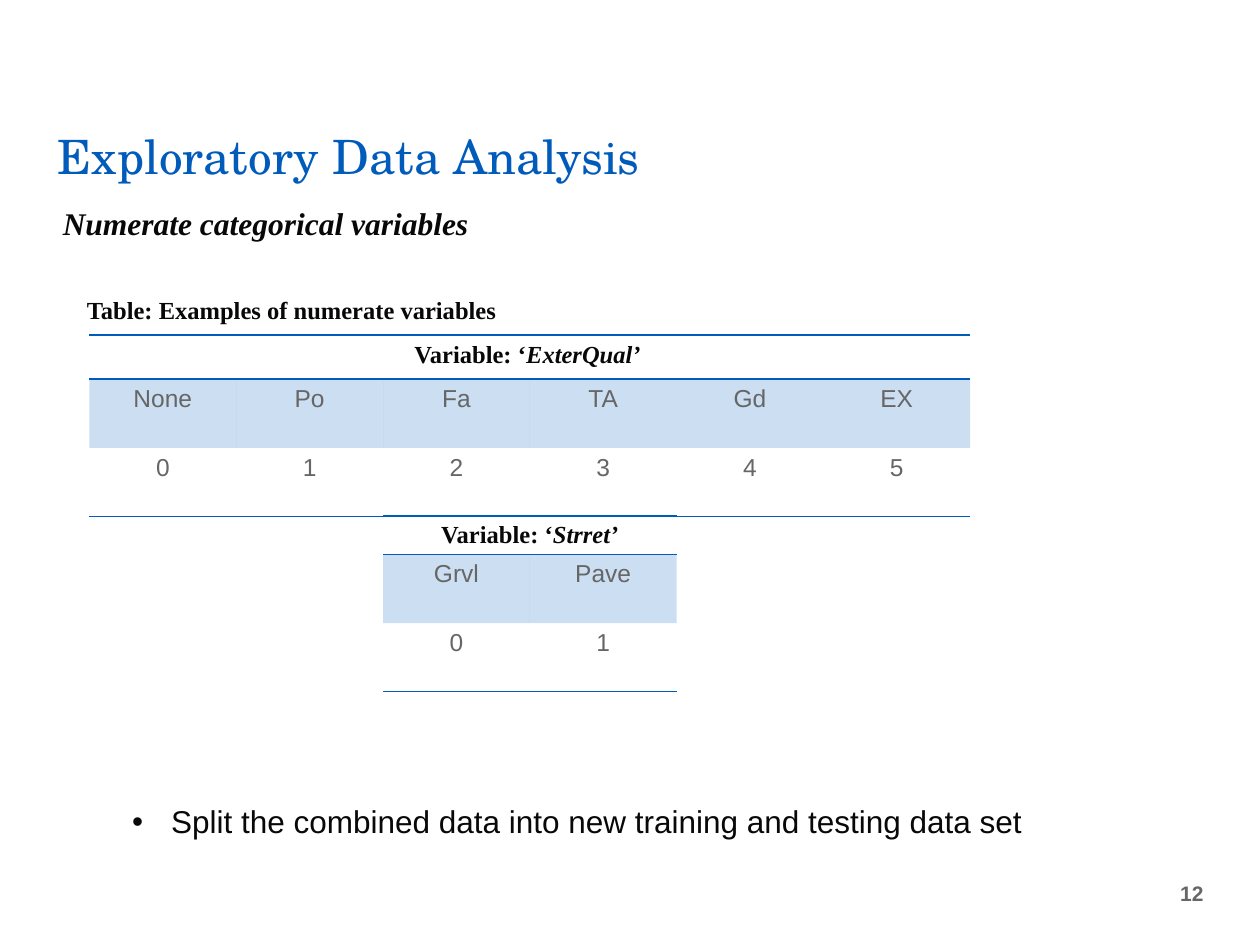
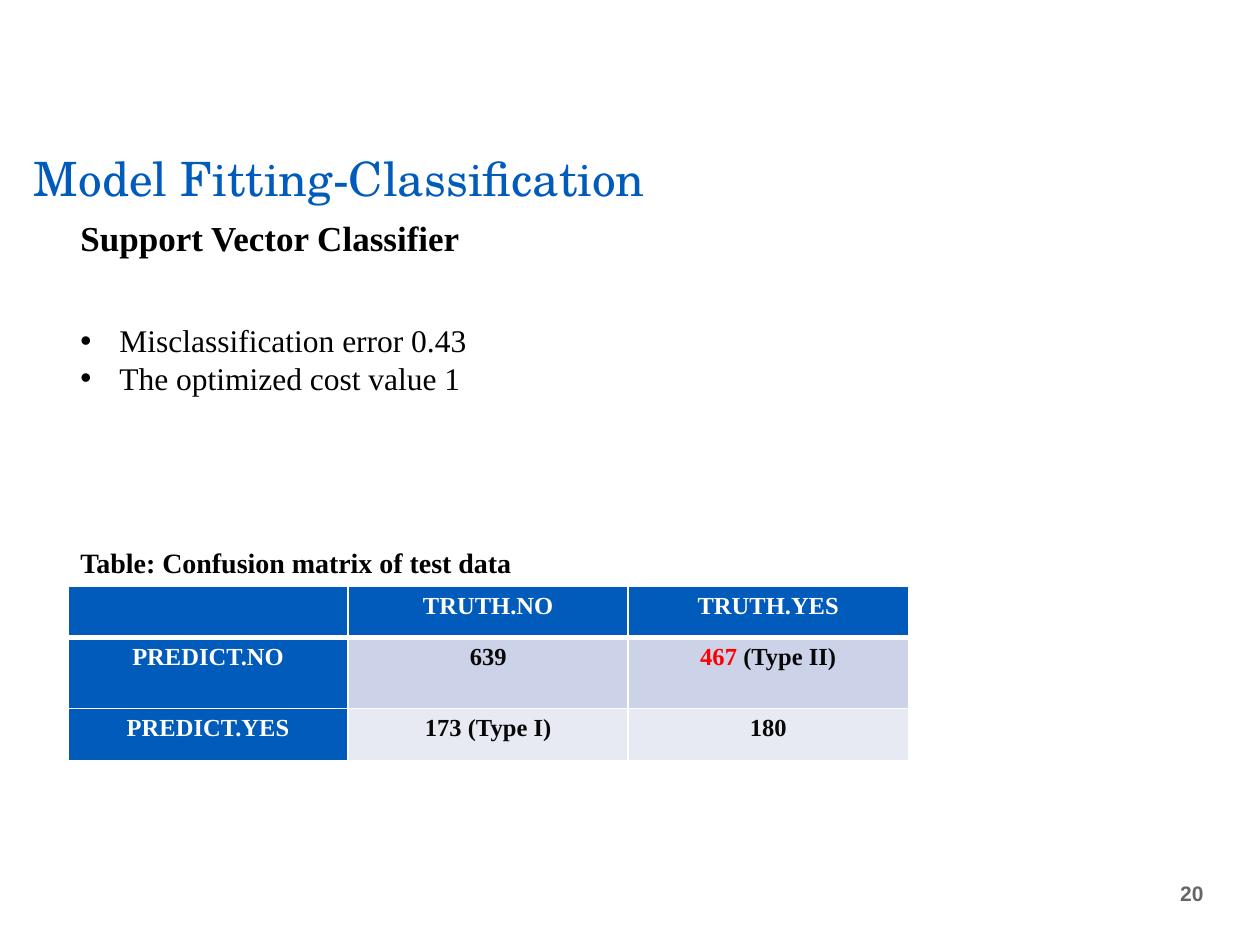
"""Build two slides on numbered categories and a classifier's confusion matrix."""
from dataclasses import dataclass, replace

from lxml.etree import SubElement
from pptx import Presentation
from pptx.dml.color import RGBColor
from pptx.enum.text import MSO_ANCHOR, PP_ALIGN
from pptx.oxml.ns import qn
from pptx.slide import Slide
from pptx.table import _Cell
from pptx.text.text import Font, _Paragraph
from pptx.util import Inches, Pt

WIDTH, HEIGHT = Inches(10), Inches(7.5)
COLS, ROWS = 100, 75
BLUE = RGBColor(0x00, 0x5B, 0xBB)
INK = RGBColor(0x08, 0x08, 0x08)
BLACK = RGBColor(0x00, 0x00, 0x00)
GREY = RGBColor(0x66, 0x66, 0x66)
WHITE = RGBColor(0xFF, 0xFF, 0xFF)
RED = RGBColor(0xFF, 0x00, 0x00)
LILAC = RGBColor(0xCC, 0xD2, 0xE7)
PALE = RGBColor(0xE7, 0xEA, 0xF3)
SERIF, SANS = "Times New Roman", "Arial"
PLAIN = "{2D5ABB26-0587-4C30-8999-92F81FD0307C}"
INDENT = Inches(0.31)


@dataclass(frozen=True)
class Style:
    """Look of a piece of text."""
    face: str
    size: int
    ink: RGBColor
    bold: bool = False
    slant: bool = False


@dataclass(frozen=True)
class Label:
    """Text box placed on the grid."""
    lines: tuple[str, ...]
    left: float
    top: float
    wide: float
    high: float
    style: Style
    bullet: bool = False
    wrap: bool = True
    align: PP_ALIGN = PP_ALIGN.LEFT
    anchor: MSO_ANCHOR = MSO_ANCHOR.TOP
    space: float | None = None


@dataclass(frozen=True)
class Box:
    """Table cell; each run pairs its words with a style."""
    runs: tuple[tuple[str, Style], ...] = ()
    fill: RGBColor | None = None
    alpha: int = 100
    edges: tuple[tuple[str, RGBColor, float], ...] = ()


@dataclass(frozen=True)
class Grid:
    """Table placed on the grid, with equal columns."""
    left: float
    top: float
    col: float
    rows: tuple[float, ...]
    cells: tuple[tuple[Box, ...], ...]
    merge: bool = False


TITLE = Style("TeX Gyre Schola", 27, BLUE)
NOTE = Style(SERIF, 14, INK, bold=True)
CODE = Style(SANS, 14, GREY)
HEAD = replace(NOTE, ink=WHITE)
POINT = Style(SERIF, 18, BLACK)


def across(cols: float) -> int:
    """Turn grid columns into a length."""
    return round(WIDTH * cols / COLS)


def down(rows: float) -> int:
    """Turn grid rows into a length."""
    return round(HEIGHT * rows / ROWS)


def dress(font: Font, style: Style) -> None:
    """Give a font its style."""
    font.name, font.size = style.face, Pt(style.size)
    font.bold, font.italic = style.bold, style.slant
    font.color.rgb = style.ink


def dot(para: _Paragraph) -> None:
    """Hang a bullet on a paragraph."""
    props = para._p.get_or_add_pPr()
    props.set("marL", str(INDENT))
    props.set("indent", str(-INDENT))
    face = props.makeelement(qn("a:buFont"), {"typeface": SANS})
    mark = props.makeelement(qn("a:buChar"), {"char": "•"})
    props.insert(0, face)
    props.insert(1, mark)


def write(slide: Slide, label: Label) -> None:
    """Draw a text box."""
    shape = slide.shapes.add_textbox(across(label.left), down(label.top),
                                     across(label.wide), down(label.high))
    frame = shape.text_frame
    frame.word_wrap = label.wrap
    frame.vertical_anchor = label.anchor
    frame.text = "\n".join(label.lines)
    for para in frame.paragraphs:
        para.alignment = label.align
        if label.space:
            para.line_spacing = label.space
        dress(para.font, label.style)
        if label.bullet:
            dot(para)


def edge(cell: _Cell, side: str, ink: RGBColor, width: float) -> None:
    """Rule one side of a cell."""
    line = SubElement(cell._tc.get_or_add_tcPr(), qn(f"a:ln{side}"), w=str(Pt(width)))
    SubElement(SubElement(line, qn("a:solidFill")), qn("a:srgbClr"), val=str(ink))


def paint(cell: _Cell, box: Box) -> None:
    """Fill a cell with its text, rules and colour."""
    cell.margin_bottom = 0
    for side, ink, width in box.edges:
        edge(cell, side, ink, width)
    if box.fill is None:
        cell.fill.background()
    else:
        cell.fill.solid()
        cell.fill.fore_color.rgb = box.fill
        if box.alpha < 100:
            tint = cell._tc.tcPr.find(f"{qn('a:solidFill')}/{qn('a:srgbClr')}")
            SubElement(tint, qn("a:alpha"), val=str(box.alpha * 1000))
    para = cell.text_frame.paragraphs[0]
    para.alignment = PP_ALIGN.CENTER
    same = len({style for _, style in box.runs}) == 1
    for words, style in box.runs:
        run = para.add_run()
        run.text = words
        dress(para.font if same else run.font, style)


def lay(slide: Slide, grid: Grid) -> None:
    """Draw a table."""
    count = len(grid.cells[-1])
    frame = slide.shapes.add_table(len(grid.rows), count, across(grid.left), down(grid.top),
                                   across(grid.col * count), down(sum(grid.rows)))
    table = frame.table
    table.first_row = table.horz_banding = False
    table._tbl.tblPr.find(qn("a:tableStyleId")).text = PLAIN
    for column in table.columns:
        column.width = across(grid.col)
    for row, high in zip(table.rows, grid.rows):
        row.height = down(high)
    if grid.merge:
        table.cell(0, 0).merge(table.cell(0, count - 1))
    for r, line in enumerate(grid.cells):
        for c, box in enumerate(line):
            paint(table.cell(r, c), box)


def code(name: str, keys: tuple[str, ...], left: float, top: float, high: float) -> Grid:
    """Make a table that numbers a variable's levels from zero."""
    rule = ("B", BLUE, 1)
    rules = (("T", BLUE, 1), rule)
    lead = Box((("Variable: ‘", NOTE), (name, replace(NOTE, slant=True))), edges=rules)
    rest = (Box(edges=rules),) * (len(keys) - 1)
    tops = tuple(Box(((key, CODE),), BLUE, 20) for key in keys)
    nums = tuple(Box(((str(n), CODE),), edges=(rule,)) for n in range(len(keys)))
    return Grid(left, top, 11.65, (high, 5.45, 5.45), ((lead, *rest), tops, nums), True)


def matrix() -> Grid:
    """Make the confusion matrix."""
    thin = tuple((side, WHITE, 1) for side in "LRTB")
    thick = (*thin[:3], ("B", WHITE, 3))
    heads = tuple(Box(((text, HEAD),) if text else (), BLUE, edges=thick)
                  for text in ("", "TRUTH.NO", "TRUTH.YES"))
    body = (
        ("PREDICT.NO", LILAC, (("639", NOTE),),
         (("467 ", replace(NOTE, ink=RED)), ("(Type II)", NOTE))),
        ("PREDICT.YES", PALE, (("173 (Type I)", NOTE),), (("180", NOTE),)),
    )
    lines = tuple((Box(((name, HEAD),), BLUE, edges=(*thin[:2], thick[2], thin[3])),
                   *(Box(runs, fill, edges=thin) for runs in values))
                  for name, fill, *values in body)
    return Grid(5.4, 46.5, 22.23, (4.1, 5.65, 4.1), (heads, *lines))


def page(deck: Presentation, number: int, labels: tuple[Label, ...],
         grids: tuple[Grid, ...]) -> None:
    """Add a numbered slide with its tables and text."""
    slide = deck.slides.add_slide(deck.slide_layouts[6])
    folio = Label((str(number),), 90.6, 68, 5.9, 5.8, Style(SANS, 12, GREY, bold=True),
                  align=PP_ALIGN.RIGHT, anchor=MSO_ANCHOR.MIDDLE)
    for grid in grids:
        lay(slide, grid)
    for label in (folio, *labels):
        write(slide, label)


def main() -> None:
    """Build and save the deck."""
    deck = Presentation()
    deck.slide_width, deck.slide_height = WIDTH, HEIGHT
    page(deck, 12, (
        Label(("Exploratory Data Analysis",), 3.6, 9.6, 54.2, 5.6, TITLE),
        Label(("Numerate categorical variables",), 4, 15.7, 61.6, 4,
              Style(SERIF, 18, INK, bold=True, slant=True)),
        Label(("Table: Examples of numerate variables",), 5.9, 22.9, 34.5, 3.4, NOTE,
              wrap=False),
        Label(("Split the combined data into new training and testing data set",),
              9.5, 63.2, 75.4, 4, Style(SANS, 18, INK), bullet=True),
    ), (
        code("ExterQual’ ", ("None", "Po", "Fa", "TA", "Gd", "EX"), 7.1, 26.6, 3.5),
        code("Strret’", ("Grvl", "Pave"), 30.4, 40.9, 3.1),
    ))
    page(deck, 20, (
        Label(("Model Fitting-Classification",), 1.7, 9, 86.2, 7.8, TITLE,
              anchor=MSO_ANCHOR.BOTTOM, space=0.8),
        Label(("Support Vector Classifier",), 5.4, 16.7, 32.3, 4.4,
              Style(SERIF, 20, BLACK, bold=True), wrap=False),
        Label(("Misclassification error 0.43", "The optimized cost value 1"),
              5.4, 25, 33, 7.1, POINT, bullet=True, wrap=False),
        Label(("Table: Confusion matrix of test data",), 5.4, 42.8, 37.3, 3.7,
              Style(SERIF, 16, BLACK, bold=True), wrap=False),
    ), (matrix(),))
    deck.save("out.pptx")


if __name__ == "__main__":
    main()
